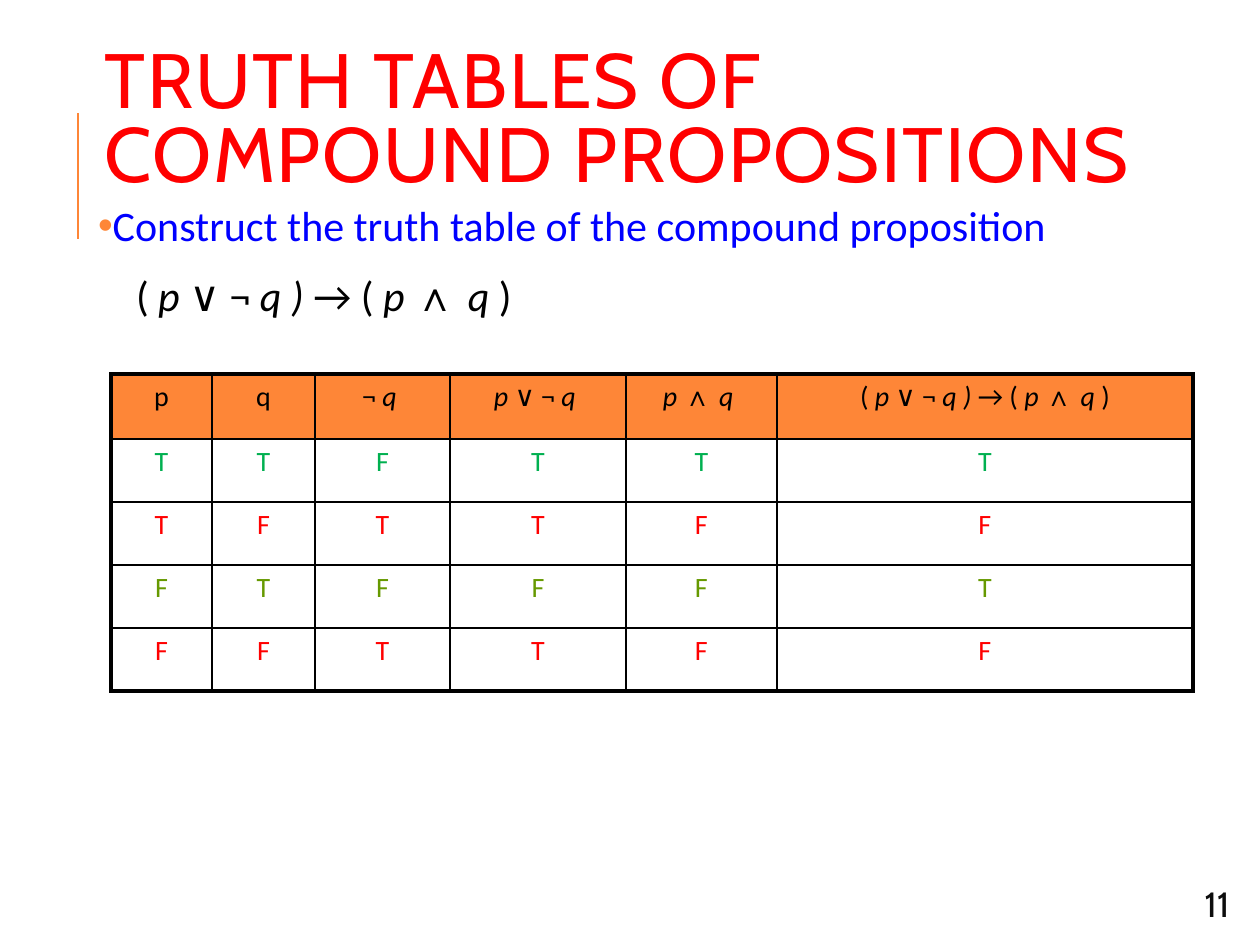
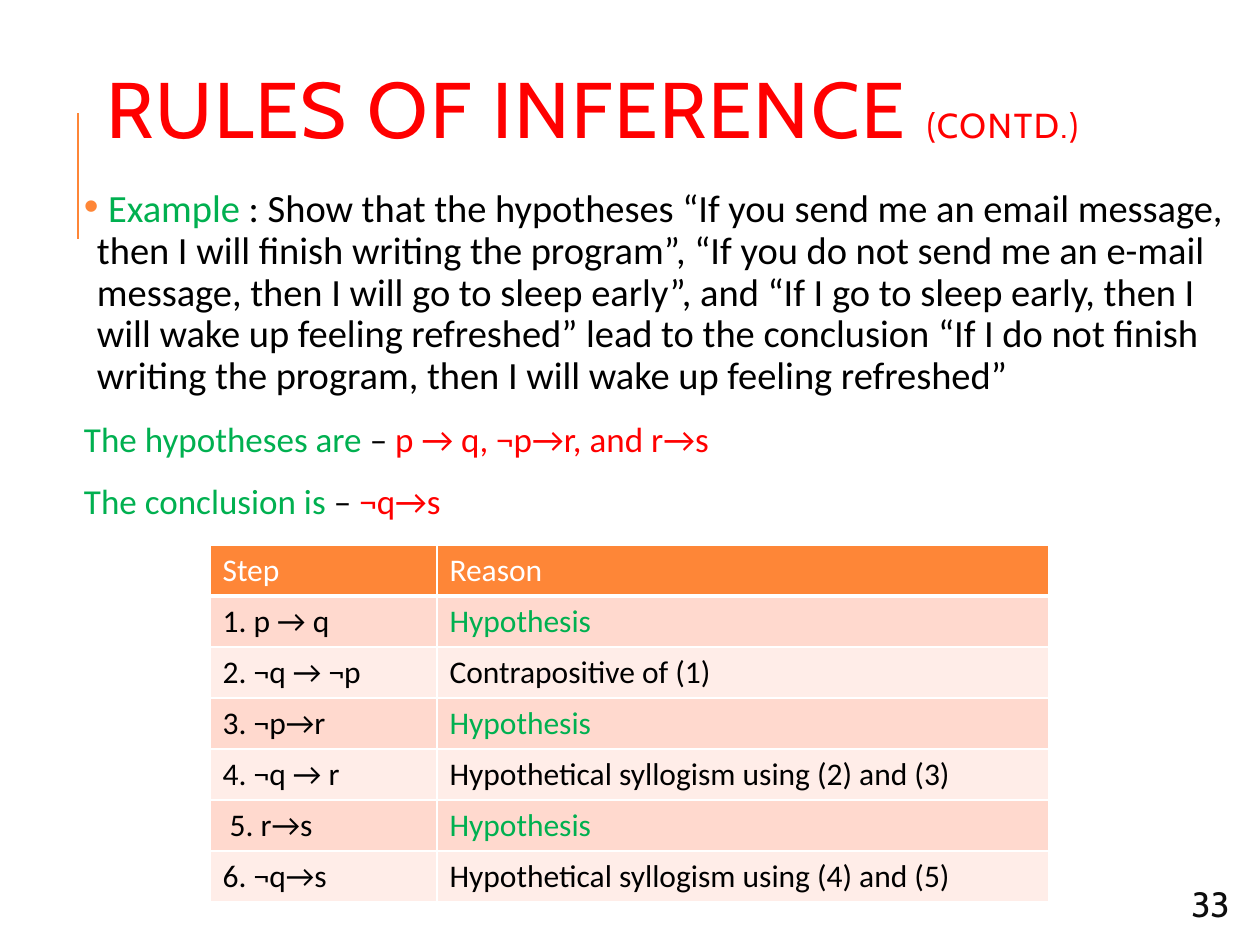
from dataclasses import dataclass
from typing import NamedTuple

from lxml import etree
from pptx import Presentation
from pptx.dml.color import RGBColor
from pptx.enum.shapes import MSO_CONNECTOR
from pptx.enum.text import MSO_ANCHOR, MSO_AUTO_SIZE, PP_ALIGN
from pptx.oxml.ns import qn
from pptx.util import Emu, Pt

LEFT, CENTER, RIGHT = PP_ALIGN.LEFT, PP_ALIGN.CENTER, PP_ALIGN.RIGHT
MIDDLE = MSO_ANCHOR.MIDDLE
NO_FIT = MSO_AUTO_SIZE.NONE
STRAIGHT = MSO_CONNECTOR.STRAIGHT

SCALE = 914400 / 126
HEAD, TEXT = "Cabin", "Calibri"
BLACK, WHITE, INK = "000000", "FFFFFF", "0D0D0D"
ORANGE, RED, BLUE = "FE8637", "FF0000", "0000FF"
GREEN, OLIVE = "00B050", "669900"
BANDS = ("FFD9CE", "FFEDE8")
PAD, HANG = 6, 13


class Box(NamedTuple):
    left: int
    top: int
    width: int
    height: int


@dataclass(frozen=True)
class Run:
    text: str
    color: str = BLACK
    size: float = 0
    font: str = TEXT
    italic: bool = False
    bold: bool = False


Runs = tuple[Run, ...]


@dataclass(frozen=True)
class Para:
    runs: Runs
    size: float
    bullet: bool = False
    margin: int = HANG
    indent: int = -HANG


@dataclass(frozen=True)
class Cell:
    runs: Runs
    fill: str = ""


@dataclass(frozen=True)
class Grid:
    left: int
    top: int
    cols: tuple[int, ...]
    rows: tuple[int, ...]
    cells: list[list[Cell]]
    size: float
    align: PP_ALIGN
    line: str
    outer: float
    under: float


@dataclass(frozen=True)
class Page:
    title: Runs
    title_box: Box
    body: tuple[Para, ...]
    body_box: Box
    grid: Grid
    number: str


def px(value: float) -> Emu:
    return Emu(round(value * SCALE))


def rgb(value: str) -> RGBColor:
    return RGBColor.from_string(value)


def place(shape, box: Box) -> None:
    shape.left, shape.top, shape.width, shape.height = map(px, box)


def write(par, runs: Runs, size: float, track: int = 0) -> None:
    """Add runs; size applies where a run names none, track is in 1/100 pt."""
    for item in runs:
        run = par.add_run()
        run.text = item.text
        font = run.font
        font.name, font.size = item.font, Pt(item.size or size)
        font.bold, font.italic = item.bold, item.italic
        font.color.rgb = rgb(item.color)
        if track:
            font._element.set("spc", str(track))


def mark(par, item: Para) -> None:
    """Set the indent and bullet of a body paragraph."""
    props = par._p.get_or_add_pPr()
    props.set("marL", str(px(item.margin)))
    props.set("indent", str(px(item.indent)))
    if item.bullet:
        tint = etree.SubElement(props, qn("a:buClr"))
        etree.SubElement(tint, qn("a:srgbClr"), val=ORANGE)
        etree.SubElement(props, qn("a:buFont"), typeface="Arial")
        etree.SubElement(props, qn("a:buChar"), char="•")
    else:
        etree.SubElement(props, qn("a:buNone"))


def edge(cell, side: str, color: str, width: float) -> None:
    props = cell._tc.get_or_add_tcPr()
    line = etree.SubElement(props, qn(f"a:ln{side}"), w=str(Pt(width)))
    fill = etree.SubElement(line, qn("a:solidFill"))
    etree.SubElement(fill, qn("a:srgbClr"), val=color)


def add_title(slide, runs: Runs, box: Box) -> None:
    shape = slide.shapes.title
    place(shape, box)
    frame = shape.text_frame
    frame.auto_size, frame.vertical_anchor = NO_FIT, MIDDLE
    par = frame.paragraphs[0]
    par.alignment, par.line_spacing = LEFT, 0.8
    write(par, runs, 44, track=100)


def add_body(slide, paras: tuple[Para, ...], box: Box) -> None:
    shape = slide.placeholders[1]
    place(shape, box)
    frame = shape.text_frame
    frame.auto_size = NO_FIT
    frame.margin_left = frame.margin_right = px(PAD)
    frame.margin_top = frame.margin_bottom = px(PAD)
    for i, item in enumerate(paras):
        par = frame.add_paragraph() if i else frame.paragraphs[0]
        par.line_spacing = 0.9
        par.space_before, par.space_after = Pt(12), Pt(2)
        mark(par, item)
        write(par, item.runs, item.size)


def add_grid(slide, grid: Grid) -> None:
    box = Box(grid.left, grid.top, sum(grid.cols), sum(grid.rows))
    count, width = len(grid.rows), len(grid.cols)
    table = slide.shapes.add_table(count, width, *map(px, box)).table
    table.first_row = table.horz_banding = False
    for col, size in zip(table.columns, grid.cols):
        col.width = px(size)
    for row, size in zip(table.rows, grid.rows):
        row.height = px(size)
    for r, line in enumerate(grid.cells):
        for c, item in enumerate(line):
            cell = table.cell(r, c)
            sides = {
                "L": grid.outer if c == 0 else 1,
                "R": grid.outer if c == width - 1 else 1,
                "T": grid.outer if r == 0 else grid.under if r == 1 else 1,
                "B": grid.outer if r == count - 1 else grid.under if r == 0 else 1,
            }
            for side, weight in sides.items():
                edge(cell, side, grid.line, weight)
            if item.fill:
                cell.fill.solid()
                cell.fill.fore_color.rgb = rgb(item.fill)
            else:
                cell.fill.background()
            par = cell.text_frame.paragraphs[0]
            par.alignment = grid.align
            write(par, item.runs, grid.size)


def add_frame(slide, number: str) -> None:
    """Draw the accent line and page number shared by all slides."""
    line = slide.shapes.add_connector(STRAIGHT, px(78), px(239), px(78), px(113))
    line.line.color.rgb, line.line.width = rgb(ORANGE), Pt(1.5)
    etree.SubElement(line._element.spPr, qn("a:effectLst"))
    box = slide.shapes.add_textbox(*map(px, Box(1019, 885, 223, 38)))
    frame = box.text_frame
    frame.word_wrap, frame.vertical_anchor = True, MIDDLE
    par = frame.paragraphs[0]
    par.alignment = RIGHT
    write(par, (Run(number, INK, font=HEAD),), 20)


def add_page(deck, page: Page) -> None:
    slide = deck.slides.add_slide(deck.slide_layouts[1])
    add_frame(slide, page.number)
    add_body(slide, page.body, page.body_box)
    add_grid(slide, page.grid)
    add_title(slide, page.title, page.title_box)


NOT = (Run("¬ "), Run("q ", italic=True))
OR = (Run("p ", italic=True), Run("∨ ¬ "), Run("q ", italic=True))
AND = (Run("p ", italic=True), Run("∧ ", font="Arial", bold=True),
       Run("q ", italic=True))
WHOLE = (Run("( "), *OR, Run(") ", italic=True), Run("→ ( "), *AND, Run(")"))

TRUTH = [[Cell(runs, ORANGE) for runs in
          ((Run("p"),), (Run("q"),), NOT, OR, AND, WHOLE)]]
TRUTH += [[Cell((Run(mark_, color),)) for mark_ in values]
          for values, color in (("TTFTTT", GREEN), ("TFTTFF", RED),
                                ("FTFFFT", OLIVE), ("FFTTFF", RED))]

GIVEN = "Hypothesis"
STEPS = (
    ("1. p → q", GIVEN),
    ("2. ¬q → ¬p", "Contrapositive of (1)"),
    ("3. ¬p→r", GIVEN),
    ("4. ¬q → r", "Hypothetical syllogism using (2) and (3)"),
    (" 5. r→s", GIVEN),
    ("6. ¬q→s", "Hypothetical syllogism using (4) and (5)"),
)
PROOF = [[Cell((Run(name, WHITE),), ORANGE) for name in ("Step", "Reason")]]
PROOF += [[Cell((Run(text, GREEN if text == GIVEN else BLACK),), BANDS[i % 2])
           for text in step] for i, step in enumerate(STEPS)]

EXAMPLE = (
    ": Show that the hypotheses “If you send me an email message, then I will "
    "finish writing the program”, “If you do not send me an e-mail message, "
    "then I will go to sleep early”, and “If I go to sleep early, then I will "
    "wake up feeling refreshed” lead to the conclusion “If I do not finish "
    "writing the program, then I will wake up feeling refreshed”"
)

PAGES = (
    Page(
        title=(Run("TRUTH TABLES OF COMPOUND PROPOSITIONS", RED, font=HEAD),),
        title_box=Box(92, 29, 1105, 189),
        body=(
            Para((Run("Construct the truth table of the compound proposition",
                      BLUE),), 24, bullet=True),
            Para(WHOLE, 24, margin=38, indent=0),
        ),
        body_box=Box(92, 199, 1155, 621),
        grid=Grid(111, 374, (101, 103, 135, 176, 151, 416), (65, *[63] * 4),
                  TRUTH, 16, CENTER, BLACK, outer=2.25, under=1),
        number="11",
    ),
    Page(
        title=(Run("RULES OF INFERENCE ", RED, 45, HEAD),
               Run("(CONTD.)", RED, 19.8, HEAD)),
        title_box=Box(94, 84, 1071, 63),
        body=(
            Para((Run(" ", GREEN, 24), Run("Example ", GREEN), Run(EXAMPLE)),
                 22, bullet=True),
            Para((Run("The hypotheses are", GREEN), Run(" – "),
                  Run("p → q, ¬p→r, and r→s", RED)), 20),
            Para((Run("The conclusion is ", GREEN), Run("– "),
                  Run("¬q→s", RED)), 20),
        ),
        body_box=Box(78, 180, 1164, 624),
        grid=Grid(210, 545, (227, 612), (51,) * 7,
                  PROOF, 18, LEFT, WHITE, outer=1, under=3),
        number="33",
    ),
)


def main() -> None:
    deck = Presentation()
    deck.slide_width, deck.slide_height = px(1260), px(945)
    for page in PAGES:
        add_page(deck, page)
    deck.save("out.pptx")


if __name__ == "__main__":
    main()
